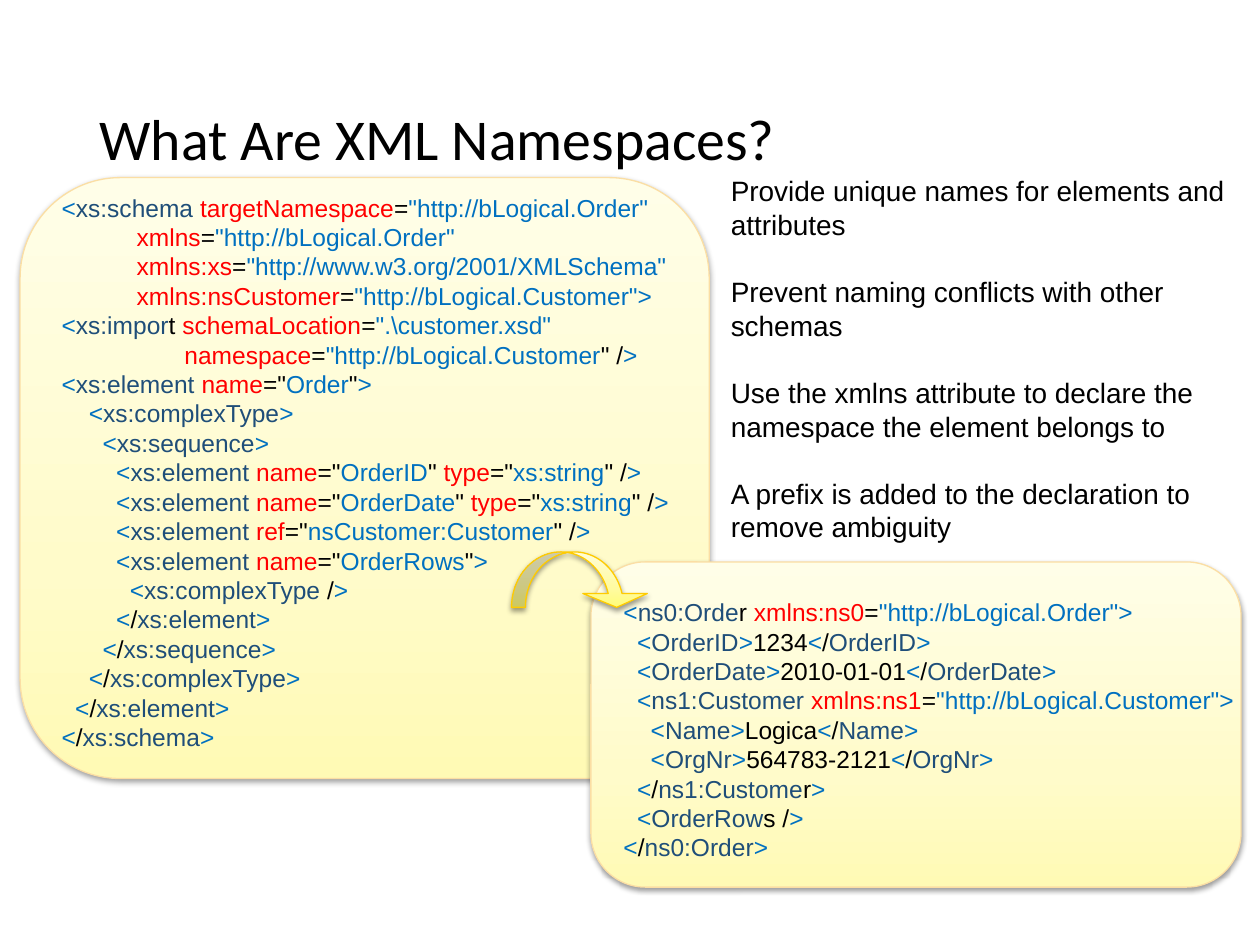
"""Builds a slide that explains XML namespaces with two code samples."""
from copy import deepcopy

from lxml import etree
from pptx import Presentation
from pptx.dml.color import RGBColor
from pptx.enum import shapes, text
from pptx.oxml import ns
from pptx.util import Pt

BLACK = RGBColor(0x00, 0x00, 0x00)
BLUE = RGBColor(0x00, 0x70, 0xC0)
NAVY = RGBColor(0x1F, 0x4E, 0x79)
RED = RGBColor(0xFF, 0x00, 0x00)
PANEL_LINE = RGBColor(0xFB, 0xDE, 0xA4)
PANEL_FILL = [RGBColor(0xFF, 0xFA, 0xB5), RGBColor(0xFF, 0xFB, 0xCA), RGBColor(0xFF, 0xFE, 0xE8)]
ARROW_LINE = RGBColor(0xFF, 0xCB, 0x00)
ARROW_FILL = [RGBColor(0xFF, 0xFC, 0x78), RGBColor(0xFF, 0xFB, 0xA1), RGBColor(0xFF, 0xFD, 0xD7)]

LT, GT, SLASH, EQUALS = (BLUE, "<"), (BLUE, ">"), (BLACK, "/"), (BLACK, "=")
EMPTY_END = [(BLACK, "\" /"), GT]


def indent(count):
    return [(BLACK, " " * count)]


def opening(name):
    return [LT, (NAVY, name), GT]


def closing(name):
    return [LT, SLASH, (NAVY, name), GT]


def field(name, value):
    return opening(name) + [(BLACK, value)] + closing(name)


def attribute(name, value):
    return [(RED, name), EQUALS, (BLUE, value)]


def quoted(name, value):
    return [(RED, name), (BLACK, "=\""), (BLUE, value)]


def element(name, value):
    return [LT, (NAVY, "xs:element ")] + quoted(name, value)


def typed_element(name):
    return element("name", name) + [(BLACK, "\" ")] + quoted("type", "xs:string") + EMPTY_END


SCHEMA = [
    [LT, (NAVY, "xs:schema ")] + attribute("targetNamespace", "\"http://bLogical.Order\""),
    indent(11) + attribute("xmlns", "\"http://bLogical.Order\""),
    indent(11) + attribute("xmlns:xs", "\"http://www.w3.org/2001/XMLSchema\""),
    indent(11) + attribute("xmlns:nsCustomer", "\"http://bLogical.Customer\">"),
    [LT, (NAVY, "xs:impor"), (BLACK, "t ")] + attribute("schemaLocation", "\".\\customer.xsd\""),
    indent(18) + attribute("namespace", "\"http://bLogical.Customer") + EMPTY_END,
    element("name", "Order") + [(BLACK, "\""), GT],
    indent(4) + opening("xs:complexType"),
    indent(6) + opening("xs:sequence"),
    indent(8) + typed_element("OrderID"),
    indent(8) + typed_element("OrderDate"),
    indent(8) + element("ref", "nsCustomer:Customer") + EMPTY_END,
    indent(8) + element("name", "OrderRows") + [(BLACK, "\""), GT],
    indent(10) + [LT, (NAVY, "xs:complexType"), (BLACK, " /"), GT],
    indent(8) + closing("xs:element"),
    indent(6) + closing("xs:sequence"),
    indent(4) + closing("xs:complexType"),
    indent(2) + closing("xs:element"),
    closing("xs:schema"),
]
ORDER = [
    [LT, (NAVY, "ns0:Orde"), (BLACK, "r ")] + attribute("xmlns:ns0", "\"http://bLogical.Order\">"),
    indent(2) + field("OrderID", "1234"),
    indent(2) + field("OrderDate", "2010-01-01"),
    indent(2) + [LT, (NAVY, "ns1:Customer ")]
    + attribute("xmlns:ns1", "\"http://bLogical.Customer\">"),
    indent(4) + field("Name", "Logica"),
    indent(4) + field("OrgNr", "564783-2121"),
    indent(2) + [LT, SLASH, (NAVY, "ns1:Custome"), (BLACK, "r"), GT],
    indent(2) + [LT, (NAVY, "OrderRow"), (BLACK, "s /"), GT],
    closing("ns0:Order"),
]
POINTS = [
    "Provide unique names for elements and attributes",
    "Prevent naming conflicts with other schemas",
    "Use the xmlns attribute to declare the namespace the element belongs to",
    "A prefix is added to the declaration to remove ambiguity",
]


class SlideWriter:
    """Holds the text style and the current slide."""

    title_font, body_font = "Calibri", "Arial"
    title_size, body_size, code_size = 33, 16, 14

    def __init__(self, page):
        self.page = page

    def place(self, item, area):
        item.left, item.top, item.width, item.height = map(Pt, area)

    def span(self, para, words, font, size, color=BLACK):
        span = para.add_run()
        span.text = words
        span.font.name, span.font.size = font, Pt(size)
        span.font.color.rgb = color

    def title(self, area, words):
        box = self.page.shapes.title
        self.place(box, area)
        frame = box.text_frame
        frame.vertical_anchor = text.MSO_ANCHOR.MIDDLE
        frame.auto_size = text.MSO_AUTO_SIZE.NONE
        para = frame.paragraphs[0]
        para.alignment = text.PP_ALIGN.LEFT
        para.line_spacing = 0.9
        self.span(para, words, self.title_font, self.title_size)

    def points(self, area, lines):
        box = self.page.placeholders[1]
        self.place(box, area)
        frame = box.text_frame
        frame.auto_size = text.MSO_AUTO_SIZE.NONE
        for index, words in enumerate(lines):
            para = frame.add_paragraph() if index else frame.paragraphs[0]
            properties = para._p.get_or_add_pPr()
            properties.set("marL", "0")
            properties.set("indent", "0")
            etree.SubElement(properties, ns.qn("a:buNone"))
            para.space_before = Pt(1.2 * self.body_size if index else 0)
            self.span(para, words, self.body_font, self.body_size)

    def code(self, area, lines, wrap=True):
        frame = self.page.shapes.add_textbox(*map(Pt, area)).text_frame
        frame.word_wrap = wrap
        frame.auto_size = text.MSO_AUTO_SIZE.SHAPE_TO_FIT_TEXT
        for index, line in enumerate(lines):
            para = frame.add_paragraph() if index else frame.paragraphs[0]
            for color, words in line:
                self.span(para, words, self.body_font, self.code_size, color)

    def glossy(self, kind, area, adjustments, colors, line):
        shape = self.page.shapes.add_shape(kind, *map(Pt, area))
        for index, value in enumerate(adjustments):
            shape.adjustments[index] = value
        shape.fill.gradient()
        shape.fill.gradient_angle = 90
        first = shape._element.xpath(".//a:gs")[0]
        first.addnext(deepcopy(first))
        for stop, position, color in zip(shape.fill.gradient_stops, (0, 0.35, 1), colors):
            stop.position = position
            stop.color.rgb = color
        shape.line.color.rgb = line
        shape.line.width = Pt(0.75)
        self.shadow(shape)

    def shadow(self, shape):
        shape.shadow.inherit = False
        effects = shape._element.spPr.find(ns.qn("a:effectLst"))
        outer = etree.SubElement(effects, ns.qn("a:outerShdw"), blurRad=str(Pt(3.1)),
                                 dist=str(Pt(1.6)), dir="5400000", rotWithShape="0")
        tone = etree.SubElement(outer, ns.qn("a:srgbClr"), val=str(BLACK))
        etree.SubElement(tone, ns.qn("a:alpha"), val="38000")

    def panel(self, area):
        kind = shapes.MSO_SHAPE.ROUNDED_RECTANGLE
        self.glossy(kind, area, [0.167], PANEL_FILL, PANEL_LINE)

    def arrow(self, area):
        kind = shapes.MSO_SHAPE.CURVED_DOWN_ARROW
        self.glossy(kind, area, [0.25, 1.162, 0.25], ARROW_FILL, ARROW_LINE)


def main():
    deck = Presentation()
    deck.slide_width, deck.slide_height = Pt(720), Pt(540)
    writer = SlideWriter(deck.slides.add_slide(deck.slide_layouts[1]))
    writer.title((49.7, 28.8, 620.6, 104.4), "What Are XML Namespaces?")
    writer.points((410.4, 95.8, 298, 220.3), POINTS)
    writer.panel((11.5, 101.5, 393.8, 343.4))
    writer.code((28.1, 106.5, 404.6, 329.8), SCHEMA)
    writer.panel((337.7, 321.1, 371.5, 185.8))
    writer.code((349.2, 337.7, 365, 164.9), ORDER, wrap=False)
    writer.arrow((292.3, 315.4, 78.5, 31.7))
    deck.save("out.pptx")


if __name__ == "__main__":
    main()
